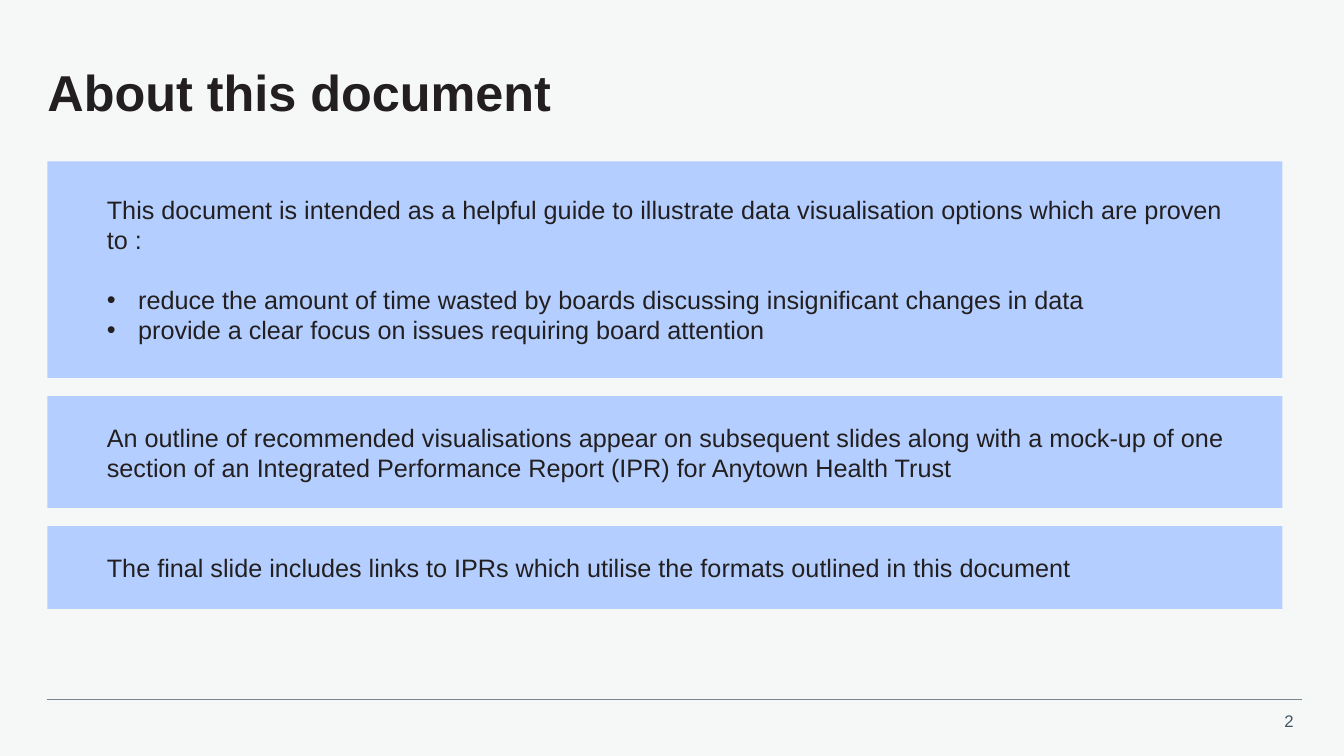
from dataclasses import dataclass

from lxml.etree import SubElement
from pptx import Presentation
from pptx.dml.color import RGBColor
from pptx.enum.shapes import MSO_CONNECTOR, MSO_SHAPE
from pptx.enum.text import MSO_ANCHOR, PP_ALIGN
from pptx.oxml.ns import qn
from pptx.slide import Slide
from pptx.text.text import TextFrame, _Paragraph
from pptx.util import Inches, Pt


@dataclass(frozen=True)
class Theme:
    font: str = "Arial"
    background: RGBColor = RGBColor(0xF6, 0xF8, 0xF8)
    panel: RGBColor = RGBColor(0xB4, 0xCF, 0xFF)
    text: RGBColor = RGBColor(0x23, 0x1F, 0x20)
    rule: RGBColor = RGBColor(0x76, 0x86, 0x92)
    number: RGBColor = RGBColor(0x42, 0x55, 0x63)
    title_size: int = 36
    body_size: int = 18
    number_size: int = 12


@dataclass(frozen=True)
class Panel:
    height: float
    statement: str
    bullets: tuple[str, ...] = ()


THEME = Theme()
LEFT = 0.47
PANEL_TOP = 1.6
PANEL_WIDTH = 12.25
PANEL_GAP = 0.18
BULLET_INDENT = 0.31
BULLET_LIST_GAP = 21

PANELS = (
    Panel(
        2.15,
        "This document is intended as a helpful guide to illustrate data "
        "visualisation options which are proven to :",
        (
            "reduce the amount of time wasted by boards discussing "
            "insignificant changes in data",
            "provide a clear focus on issues requiring board attention",
        ),
    ),
    Panel(
        1.11,
        "An outline of recommended visualisations appear on subsequent slides "
        "along with a mock-up of one section of an Integrated Performance "
        "Report (IPR) for Anytown Health Trust",
    ),
    Panel(
        0.82,
        "The final slide includes links to IPRs which utilise the formats "
        "outlined in this document",
    ),
)


def add_span(para: _Paragraph, text: str, size: int = THEME.body_size,
             color: RGBColor = THEME.text, bold: bool = False) -> None:
    span = para.add_run()
    span.text = text
    span.font.name = THEME.font
    span.font.size = Pt(size)
    span.font.color.rgb = color
    span.font.bold = bold


def set_frame(frame: TextFrame, left: float = 0, right: float = 0) -> None:
    """Wrap and vertically centre the text, with side insets in inches."""
    frame.word_wrap = True
    frame.vertical_anchor = MSO_ANCHOR.MIDDLE
    frame.margin_left, frame.margin_right = Inches(left), Inches(right)
    frame.margin_top = frame.margin_bottom = 0


def make_bullet(para: _Paragraph) -> None:
    properties = para._p.get_or_add_pPr()
    properties.set("marL", str(Inches(BULLET_INDENT)))
    properties.set("indent", str(-Inches(BULLET_INDENT)))
    SubElement(properties, qn("a:buFont")).set("typeface", THEME.font)
    SubElement(properties, qn("a:buChar")).set("char", "•")


def add_title(page: Slide, text: str) -> None:
    box = page.shapes.add_textbox(
        Inches(LEFT), Inches(0.47), Inches(12.47), Inches(0.95))
    set_frame(box.text_frame)
    para = box.text_frame.paragraphs[0]
    para.line_spacing = 0.9
    add_span(para, text, THEME.title_size, bold=True)


def add_panel(page: Slide, panel: Panel, top: float) -> None:
    box = page.shapes.add_shape(
        MSO_SHAPE.RECTANGLE, Inches(LEFT), Inches(top),
        Inches(PANEL_WIDTH), Inches(panel.height))
    box.shadow.inherit = False
    box.fill.solid()
    box.fill.fore_color.rgb = THEME.panel
    box.line.fill.background()
    frame = box.text_frame
    set_frame(frame, left=0.59, right=0.39)
    para = frame.paragraphs[0]
    para.alignment = PP_ALIGN.LEFT
    add_span(para, panel.statement)
    if panel.bullets:
        para.space_after = Pt(BULLET_LIST_GAP)
    for bullet in panel.bullets:
        para = frame.add_paragraph()
        para.alignment = PP_ALIGN.LEFT
        make_bullet(para)
        add_span(para, bullet)


def add_footer(page: Slide, number: str) -> None:
    rule = page.shapes.add_connector(
        MSO_CONNECTOR.STRAIGHT,
        Inches(LEFT), Inches(6.94), Inches(12.91), Inches(6.94))
    rule.line.color.rgb = THEME.rule
    rule.line.width = Pt(0.5)
    SubElement(rule._element.spPr, qn("a:effectLst"))

    box = page.shapes.add_textbox(
        Inches(12.52), Inches(7), Inches(0.41), Inches(0.3))
    box.text_frame.word_wrap = True
    para = box.text_frame.paragraphs[0]
    para.alignment = PP_ALIGN.RIGHT
    add_span(para, number, THEME.number_size, THEME.number)


def main() -> None:
    deck = Presentation()
    deck.slide_width, deck.slide_height = Inches(13.33), Inches(7.5)
    page = deck.slides.add_slide(deck.slide_layouts[6])
    page.background.fill.solid()
    page.background.fill.fore_color.rgb = THEME.background

    add_footer(page, "2")
    add_title(page, "About this document")
    top = PANEL_TOP
    for panel in PANELS:
        add_panel(page, panel, top)
        top += panel.height + PANEL_GAP

    deck.save("out.pptx")


if __name__ == "__main__":
    main()
